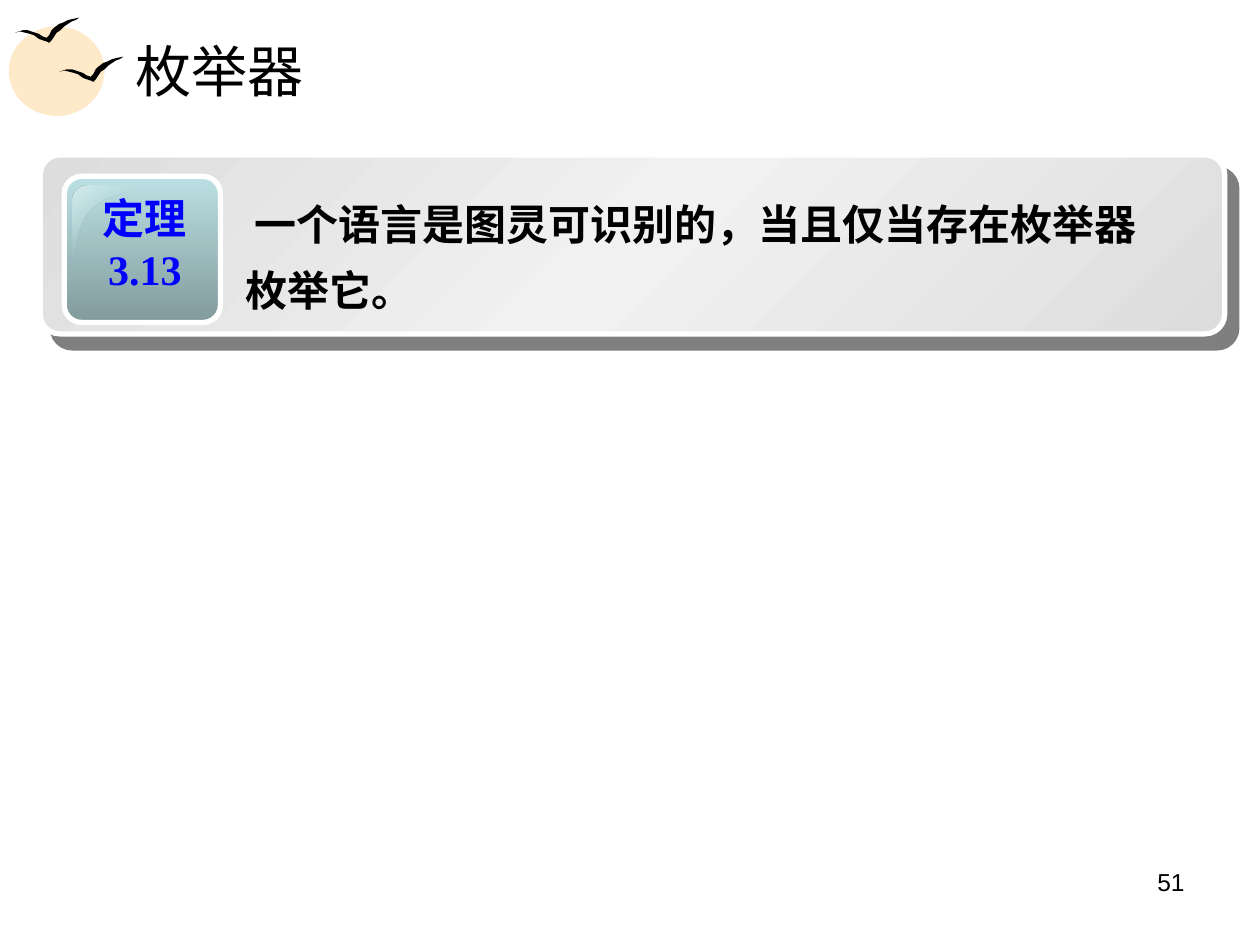
import lxml.etree
import pptx
import pptx.dml.color
import pptx.enum.shapes
import pptx.enum.text
import pptx.oxml
import pptx.oxml.ns
import pptx.util

THEME = {
    "sun": "FEE9C8", "ink": "000000", "white": "FFFFFF", "label": "0000FF",
    "panel": [(0, "DDDDDD", 100), (50, "F1F1F1", 100), (100, "DDDDDD", 100)],
    "badge": [(0, "BBE0E3", 100), (100, "829B9D", 100)],
    "gloss": [(0, "D9EDEE", 100), (50, "BBE0E3", 0), (100, "D9EDEE", 100)],
    "serif": "Times New Roman", "sans": "Arial",
    "title": 32, "body": 24, "number": 14, "border": 3,
}
NAMESPACE = pptx.oxml.ns.nsdecls("a")
Color = pptx.dml.color.RGBColor.from_string
Align = pptx.enum.text.PP_ALIGN
Anchor = pptx.enum.text.MSO_ANCHOR
Preset = pptx.enum.shapes.MSO_SHAPE

presentation = pptx.Presentation()
presentation.slide_width = pptx.util.Inches(10)
presentation.slide_height = pptx.util.Inches(7.5)
slide = presentation.slides.add_slide(presentation.slide_layouts[6])
COLUMN = presentation.slide_width / 100
ROW = presentation.slide_height / 75


def paint_gradient(shape, stops, angle):
    shape.fill.background()
    stop_xml = "".join(
        f'<a:gs pos="{position * 1000}"><a:srgbClr val="{color}">'
        f'<a:alpha val="{opacity * 1000}"/></a:srgbClr></a:gs>'
        for position, color, opacity in stops)
    gradient = pptx.oxml.parse_xml(
        f'<a:gradFill {NAMESPACE} rotWithShape="1"><a:gsLst>{stop_xml}</a:gsLst>'
        f'<a:lin ang="{angle * 60000}" scaled="0"/></a:gradFill>')
    properties = shape._element.spPr
    properties.replace(properties.find(pptx.oxml.ns.qn("a:noFill")), gradient)


def add_text(place, paragraphs, font, size, color, align=Align.LEFT, anchor=Anchor.TOP):
    column, row, width, height = place
    box = slide.shapes.add_textbox(
        int(column * COLUMN), int(row * ROW), int(width * COLUMN), int(height * ROW))
    frame = box.text_frame
    frame.word_wrap = True
    frame.vertical_anchor = anchor
    for index, runs in enumerate(paragraphs):
        paragraph = frame.add_paragraph() if index else frame.paragraphs[0]
        paragraph.alignment = align
        for text, bold in runs:
            run = paragraph.add_run()
            run.text = text
            run.font.name = font
            run.font.size = pptx.util.Pt(size)
            run.font.bold = bold
            run.font.color.rgb = Color(color)
    return frame


for column, row, width, height in [(0.7, 2.1, 7.6, 7.1), (2, 2.8, 6.3, 5.5)]:
    sun = slide.shapes.add_shape(
        Preset.OVAL, int(column * COLUMN), int(row * ROW),
        int(width * COLUMN), int(height * ROW))
    sun.shadow.inherit = False
    sun.fill.solid()
    sun.fill.fore_color.rgb = Color(THEME["sun"])
    sun.line.fill.background()

BIRD = [
    (0, 1.2), (0.3, 1.1), (0.6, 1), (1, 1), (1.3, 1.1), (1.6, 1.2), (1.9, 1.3),
    (2.2, 1.5), (2.5, 1.6), (2.7, 1.4), (2.9, 1), (3.1, 0.8), (3.5, 0.5),
    (3.8, 0.4), (4.2, 0.2), (4.6, 0.1), (5.1, 0), (4.8, 0.2), (4.5, 0.3),
    (4.2, 0.5), (3.9, 0.7), (3.6, 1), (3.3, 1.2), (3.1, 1.5), (2.9, 1.8),
    (2.7, 2), (2.5, 1.9), (2.2, 1.8), (1.9, 1.7), (1.5, 1.4), (1.2, 1.3),
    (0.8, 1.2), (0.4, 1.1),
]
for column, row in [(4.7, 4.5), (1.2, 1.4)]:
    points = [((column + x) * COLUMN, (row + y) * ROW) for x, y in BIRD]
    builder = slide.shapes.build_freeform(int(points[0][0]), int(points[0][1]))
    builder.add_line_segments([(int(x), int(y)) for x, y in points[1:]], close=True)
    bird = builder.convert_to_shape()
    bird.shadow.inherit = False
    bird.fill.solid()
    bird.fill.fore_color.rgb = Color(THEME["ink"])
    bird.line.fill.background()

add_text((9.8, 2.1, 85.3, 6.9), [[("枚举器", False)]],
         THEME["serif"], THEME["title"], THEME["ink"], anchor=Anchor.MIDDLE)

cards = []
for column, row, width, height, radius, stops, angle in [
    (3.2, 12.3, 94, 14.2, 0.11, THEME["panel"], 225),
    (5.1, 14, 12.4, 11.6, 0.12, THEME["badge"], 90),
]:
    card = slide.shapes.add_shape(
        Preset.ROUNDED_RECTANGLE, int(column * COLUMN), int(row * ROW),
        int(width * COLUMN), int(height * ROW))
    card.adjustments[0] = radius
    card.shadow.inherit = False
    paint_gradient(card, stops, angle)
    card.line.color.rgb = Color(THEME["white"])
    card.line.width = pptx.util.Pt(THEME["border"])
    cards.append(card)

effects = cards[0]._element.spPr.find(pptx.oxml.ns.qn("a:effectLst"))
effects.append(pptx.oxml.parse_xml(
    f'<a:outerShdw {NAMESPACE} dist="{pptx.util.Pt(10.6)}" dir="{49 * 60000}" '
    f'algn="ctr" rotWithShape="0"><a:srgbClr val="{THEME["ink"]}">'
    '<a:alpha val="50000"/></a:srgbClr></a:outerShdw>'))

CURVES = [
    [(7.1, 14.7), (6.4, 14.7), (5.8, 15.2), (5.8, 15.9)],
    [(5.8, 20.5), (6.1, 20.5), (6, 17.7), (7.5, 16.4)],
    [(7.5, 16.4), (9, 15.1), (12, 15), (11.9, 14.7)],
]
STEPS = 12
outline = []
for curve in CURVES:
    for step in range(STEPS + 1):
        t = step / STEPS
        weights = [(1 - t) ** 3, 3 * t * (1 - t) ** 2, 3 * t ** 2 * (1 - t), t ** 3]
        x = sum(weight * point[0] for weight, point in zip(weights, curve))
        y = sum(weight * point[1] for weight, point in zip(weights, curve))
        outline.append((int(x * COLUMN), int(y * ROW)))
builder = slide.shapes.build_freeform(*outline[0])
builder.add_line_segments(outline[1:], close=True)
gloss = builder.convert_to_shape()
gloss.shadow.inherit = False
paint_gradient(gloss, THEME["gloss"], 225)
gloss.line.fill.background()

add_text((6.8, 14.8, 9.4, 9), [[("定理", True)], [("3.13", True)]],
         THEME["serif"], THEME["body"], THEME["label"], Align.CENTER)

theorem = add_text(
    (18.5, 14.7, 75.6, 10.9),
    [[(" ", False), ("一个语言是图灵可识别的，当且仅当存在枚举器", True)], [("枚举它。", True)]],
    THEME["sans"], THEME["body"], THEME["ink"])
for index, paragraph in enumerate(theorem.paragraphs):
    paragraph.line_spacing = 1.15
    paragraph.space_before = pptx.util.Pt(4.5 if index else 0)
    indent = pptx.util.Inches(0.48)
    properties = paragraph._p.get_or_add_pPr()
    properties.set("marL", str(indent))
    properties.set("indent", str(-indent))

add_text((71.7, 68.3, 23.3, 5.2), [[("51", False)]],
         THEME["sans"], THEME["number"], THEME["ink"], Align.RIGHT)

presentation.save("out.pptx")
